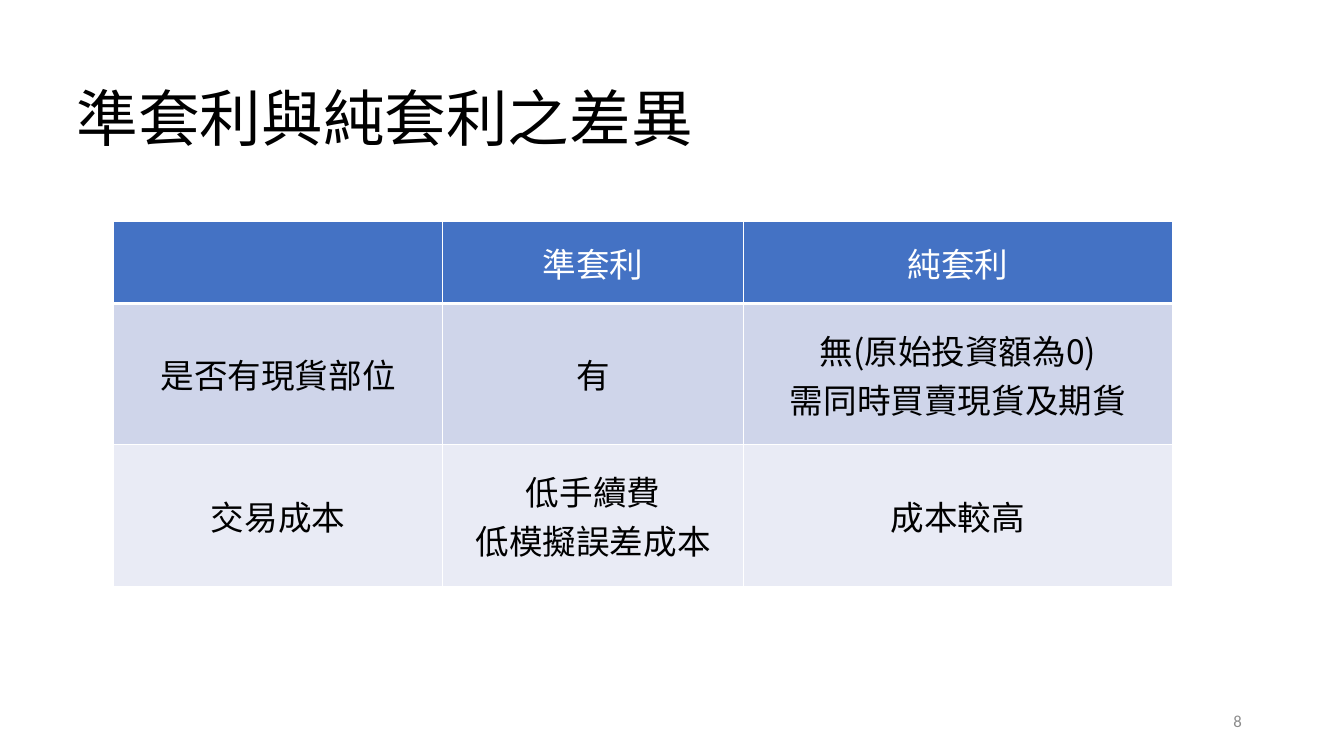
import lxml.etree
import pptx
import pptx.dml.color
import pptx.enum.text
import pptx.oxml.ns
import pptx.util
from pptx.util import Cm

CJK_FONT = "Noto Sans CJK SC"
HEADER_FILL = "4472C4"
BAND_FILLS = ["CFD5EA", "E9EBF5"]
WHITE = "FFFFFF"
BLACK = "000000"

COLUMN_WIDTHS = [8.28, 7.59, 10.8]
ROW_HEIGHTS = [2.06, 3.56, 3.56]
COMPARISON = [
    ["", "準套利", "純套利"],
    ["是否有現貨部位", "有", "無(原始投資額為0)\n需同時買賣現貨及期貨"],
    ["交易成本", "低手續費\n低模擬誤差成本", "成本較高"],
]


def rgb(value):
    return pptx.dml.color.RGBColor.from_string(value)


def write(frame, text, size, color, align, font=CJK_FONT):
    """Fill a text frame, one paragraph per line, in one format."""
    frame.text = text
    for para in frame.paragraphs:
        para.alignment = align
        for span in para.runs:
            span.font.size = pptx.util.Pt(size)
            span.font.bold = False
            span.font.name = font
            span.font.color.rgb = rgb(color)
            properties = span.font._element
            east_asian = lxml.etree.SubElement(properties, pptx.oxml.ns.qn("a:ea"))
            east_asian.set("typeface", font)


def add_borders(cell, color, bottom_width):
    properties = cell._tc.get_or_add_tcPr()
    for side, width in zip("LRTB", [1, 1, 1, bottom_width]):
        line = lxml.etree.SubElement(properties, pptx.oxml.ns.qn("a:ln" + side))
        line.set("w", str(pptx.util.Pt(width)))
        fill = lxml.etree.SubElement(line, pptx.oxml.ns.qn("a:solidFill"))
        lxml.etree.SubElement(fill, pptx.oxml.ns.qn("a:srgbClr")).set("val", color)


def place_title(page, text):
    title = page.shapes.title
    title.left, title.top, title.width, title.height = Cm(1.68), Cm(1.22), Cm(29.21), Cm(3.68)
    frame = title.text_frame
    write(frame, text, 44, BLACK, pptx.enum.text.PP_ALIGN.LEFT)
    frame.auto_size = pptx.enum.text.MSO_AUTO_SIZE.NONE
    frame.vertical_anchor = pptx.enum.text.MSO_ANCHOR.MIDDLE
    frame.paragraphs[0].line_spacing = 0.9


def add_comparison_table(page):
    table = page.shapes.add_table(
        len(ROW_HEIGHTS), len(COLUMN_WIDTHS), Cm(2.87), Cm(5.59),
        Cm(sum(COLUMN_WIDTHS)), Cm(sum(ROW_HEIGHTS))).table
    table.horz_banding = False
    for column, width in zip(table.columns, COLUMN_WIDTHS):
        column.width = Cm(width)
    for index, (row, height) in enumerate(zip(table.rows, ROW_HEIGHTS)):
        row.height = Cm(height)
        is_header = index == 0
        fill = HEADER_FILL if is_header else BAND_FILLS[(index - 1) % 2]
        for cell, text in zip(row.cells, COMPARISON[index]):
            add_borders(cell, WHITE, 3 if is_header else 1)
            cell.fill.solid()
            cell.fill.fore_color.rgb = rgb(fill)
            cell.vertical_anchor = pptx.enum.text.MSO_ANCHOR.MIDDLE
            write(cell.text_frame, text, 24, WHITE if is_header else BLACK,
                  pptx.enum.text.PP_ALIGN.CENTER)


def add_page_number(page, number):
    box = page.shapes.add_textbox(Cm(23.93), Cm(17.65), Cm(7.62), Cm(1.02))
    box.text_frame.word_wrap = True
    box.text_frame.vertical_anchor = pptx.enum.text.MSO_ANCHOR.MIDDLE
    write(box.text_frame, number, 12, "8C8C8C", pptx.enum.text.PP_ALIGN.RIGHT, "Calibri")


def main():
    deck = pptx.Presentation()
    deck.slide_width, deck.slide_height = Cm(33.87), Cm(19.05)
    page = deck.slides.add_slide(deck.slide_layouts.get_by_name("Title Only"))
    place_title(page, "準套利與純套利之差異")
    add_comparison_table(page)
    add_page_number(page, "8")
    deck.save("out.pptx")


if __name__ == "__main__":
    main()
